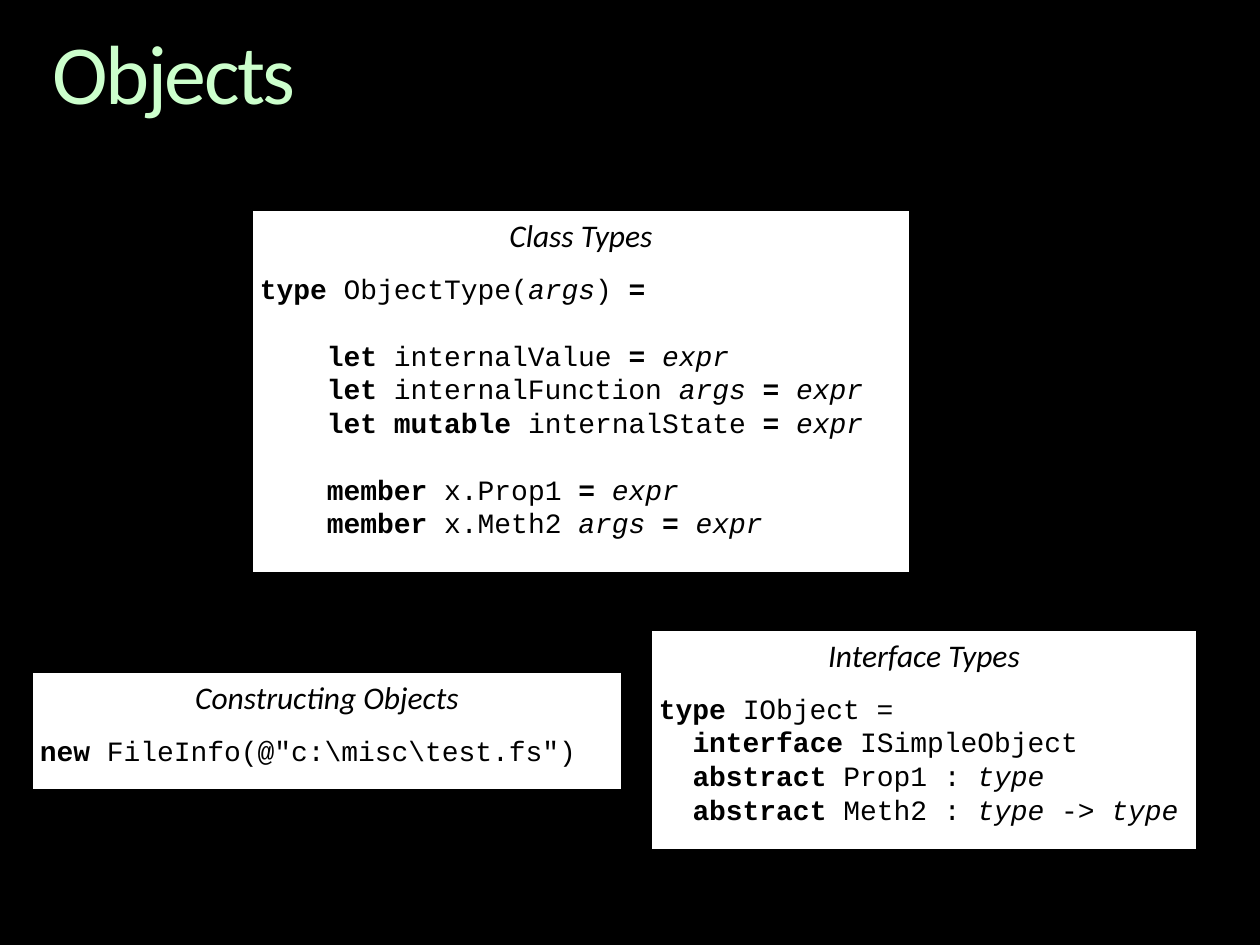
from pptx import Presentation
from pptx.dml.color import RGBColor
from pptx.enum.shapes import MSO_SHAPE
from pptx.enum.text import MSO_ANCHOR, PP_ALIGN
from pptx.util import Emu, Pt

PX_PER_INCH = 126
SLIDE_SIZE = (1260, 945)
COLORS = {"background": "000000", "title": "CCFFCC", "panel": "FFFFFF", "ink": "000000"}
TEXT_FONT, CODE_FONT = "Calibri", "Courier New"
RECTANGLE = MSO_SHAPE.RECTANGLE
TOP = MSO_ANCHOR.TOP
LEFT, CENTER = PP_ALIGN.LEFT, PP_ALIGN.CENTER

# In code, *...* is bold and _..._ is italic; an empty line becomes a gap.
CLASS_CODE = """\
*type *ObjectType(_args_) *=*

    *let *internalValue *= *_expr_
    *let *internalFunction _args _*= *_expr_
    *let mutable *internalState *= *_expr_

    *member* x.Prop1 *= *_expr_
    *member* x.Meth2 _args _*= *_expr_"""

INTERFACE_CODE = """\
*type *IObject =
  *interface *ISimpleObject
  *abstract* Prop1 : _type_
  *abstract* Meth2 : _type_ -> _type_"""

CONSTRUCT_CODE = r'*new *FileInfo(@"c:\misc\test.fs")'


def px(length):
    return Emu(round(length * 914400 / PX_PER_INCH))


def color(name):
    return RGBColor.from_string(COLORS[name])


class SlideBuilder:
    def __init__(self, presentation):
        self.slide = presentation.slides.add_slide(presentation.slide_layouts[5])
        fill = self.slide.background.fill
        fill.solid()
        fill.fore_color.rgb = color("background")

    def set_font(self, paragraph, name, size, color_name):
        font = paragraph.font
        font.name, font.size = name, Pt(size)
        font.color.rgb = color(color_name)

    def set_frame(self, frame, inset_x, inset_y):
        frame.margin_left = frame.margin_right = px(inset_x)
        frame.margin_top = frame.margin_bottom = px(inset_y)
        frame.vertical_anchor = TOP
        frame.word_wrap = True

    def title(self, text, left, top, width, height):
        shape = self.slide.shapes.title
        shape.left, shape.top, shape.width, shape.height = map(px, (left, top, width, height))
        self.set_frame(shape.text_frame, 0, 0)
        paragraph = shape.text_frame.paragraphs[0]
        paragraph.alignment = LEFT
        paragraph.line_spacing = 0.9
        self.set_font(paragraph, TEXT_FONT, 48, "title")
        run = paragraph.add_run()
        run.text = text
        run._r.get_or_add_rPr().set("spc", "-150")

    def code_line(self, frame, line, space_before):
        paragraph = frame.add_paragraph()
        paragraph.alignment = LEFT
        paragraph.space_before = Pt(space_before)
        self.set_font(paragraph, CODE_FONT, 16, "ink")
        for bold_index, part in enumerate(line.split("*")):
            for italic_index, text in enumerate(part.split("_")):
                if text:
                    run = paragraph.add_run()
                    run.text = text
                    run.font.bold = bold_index % 2 == 1
                    run.font.italic = italic_index % 2 == 1

    def code_panel(self, heading, code, left, top, width, height):
        shape = self.slide.shapes.add_shape(RECTANGLE, *map(px, (left, top, width, height)))
        shape.shadow.inherit = False
        shape.fill.solid()
        shape.fill.fore_color.rgb = color("panel")
        shape.line.color.rgb = color("ink")
        shape.line.width = Pt(0.75)
        frame = shape.text_frame
        self.set_frame(frame, 8, 6)
        paragraph = frame.paragraphs[0]
        paragraph.text = heading
        paragraph.alignment = CENTER
        paragraph.space_after = Pt(10)
        self.set_font(paragraph, TEXT_FONT, 18, "ink")
        paragraph.font.italic = True
        gap = 0
        for line in code.splitlines():
            if line:
                self.code_line(frame, line, gap)
            gap = 0 if line else 19


def main():
    presentation = Presentation()
    presentation.slide_width, presentation.slide_height = map(px, SLIDE_SIZE)
    builder = SlideBuilder(presentation)
    builder.title("Objects", 53, 32, 1155, 92)
    builder.code_panel("Interface Types", INTERFACE_CODE, 651, 630, 546, 220)
    builder.code_panel("Class Types", CLASS_CODE, 252, 210, 658, 363)
    builder.code_panel("Constructing Objects", CONSTRUCT_CODE, 32, 672, 590, 118)
    presentation.save("out.pptx")


if __name__ == "__main__":
    main()
